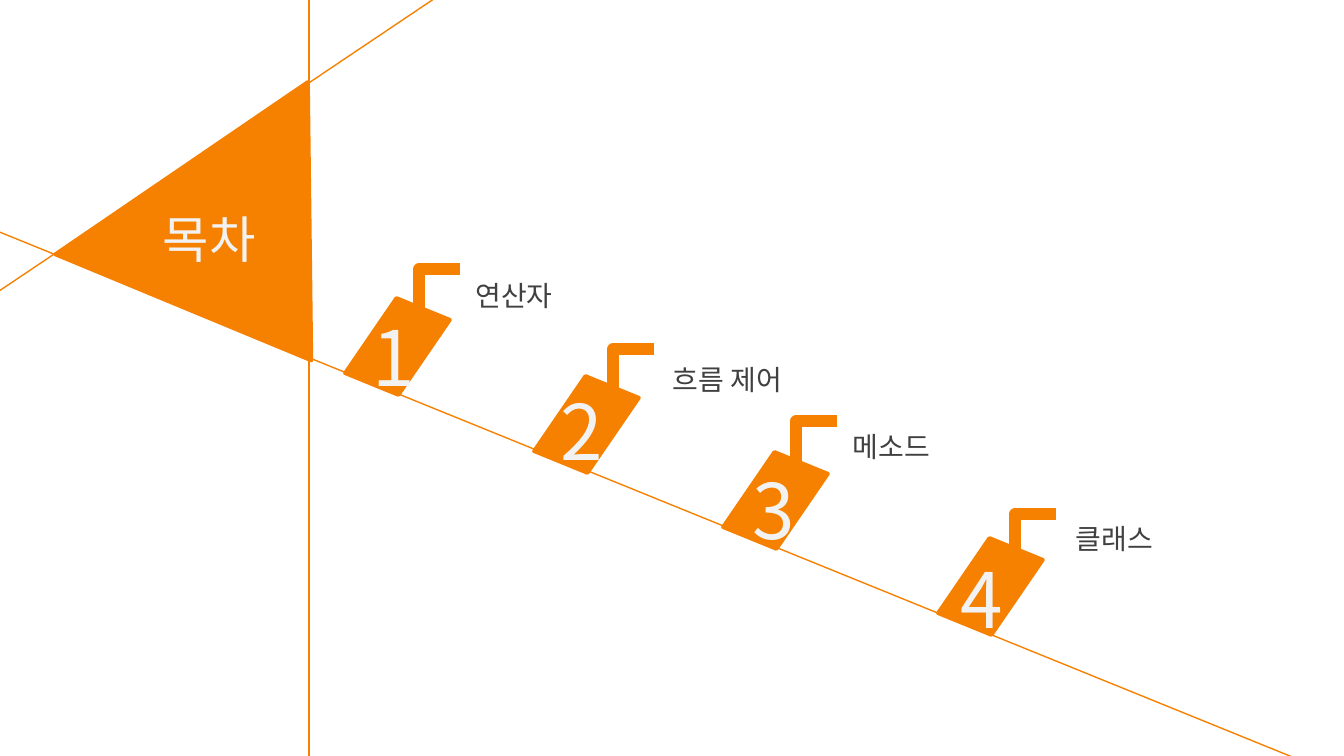
import dataclasses

import pptx
import pptx.dml.color
import pptx.enum.shapes
import pptx.enum.text
import pptx.oxml.ns
import pptx.util
from lxml import etree

EMU_PER_PX = 914400 / 134.4
SHAPE = pptx.enum.shapes.MSO_SHAPE
CONNECTOR = pptx.enum.shapes.MSO_CONNECTOR
ALIGN = pptx.enum.text.PP_ALIGN
qn = pptx.oxml.ns.qn


@dataclasses.dataclass(frozen=True)
class Theme:
    font: str = "Noto Sans CJK KR"
    accent: str = "F68100"
    light: str = "F2F2F2"
    dark: str = "404040"
    title_size: int = 27
    number_size: int = 41
    label_size: int = 15
    outline: float = 2
    guide: float = 0.75
    hook: float = 6


def px(n):
    return pptx.util.Emu(round(n * EMU_PER_PX))


def rgb(code):
    return pptx.dml.color.RGBColor.from_string(code)


def write(tf, text, *, size, color, font, align=None):
    p = tf.paragraphs[0]
    p.alignment = align
    r = p.add_run()
    r.text = text
    r.font.size = pptx.util.Pt(size)
    r.font.color.rgb = rgb(color)
    r.font.name = font
    etree.SubElement(r.font._element, qn("a:ea"), typeface=font)


class Canvas:
    """Draws on one slide in the theme's style."""

    def __init__(self, slide, theme):
        self.slide = slide
        self.theme = theme

    def shape(self, kind, x, y, w, h, rotation):
        sp = self.slide.shapes.add_shape(kind, px(x), px(y), px(w), px(h))
        sp.rotation = rotation
        sp.shadow.inherit = False
        sp.fill.solid()
        sp.fill.fore_color.rgb = rgb(self.theme.accent)
        sp.line.color.rgb = rgb(self.theme.accent)
        sp.line.width = pptx.util.Pt(self.theme.outline)
        return sp

    def text(self, text, x, y, w, h, **style):
        sp = self.slide.shapes.add_textbox(px(x), px(y), px(w), px(h))
        tf = sp.text_frame
        tf.word_wrap = True
        tf.auto_size = pptx.enum.text.MSO_AUTO_SIZE.SHAPE_TO_FIT_TEXT
        tf.margin_left = tf.margin_right = px(10)
        tf.margin_top = tf.margin_bottom = px(5)
        write(tf, text, font=self.theme.font, **style)

    def line(self, x1, y1, x2, y2, width, kind=CONNECTOR.STRAIGHT):
        sp = self.slide.shapes.add_connector(kind, px(x1), px(y1), px(x2), px(y2))
        sp.line.color.rgb = rgb(self.theme.accent)
        sp.line.width = pptx.util.Pt(width)
        etree.SubElement(sp._element.spPr, qn("a:effectLst"))
        return sp

    def hook(self, x, y, side):
        """Draw a one-bend connector going up, then right; (x, y) is its corner."""
        sp = self.line(x + side, y + side, x, y, self.theme.hook, CONNECTOR.ELBOW)
        spPr = sp._element.spPr
        spPr.find(qn("a:xfrm")).set("rot", str(90 * 60000))
        spPr.find(qn("a:prstGeom")).set("prst", "bentConnector2")


# label, tile corner, number corner, hook corner, label corner and width
ITEMS = [
    ("연산자", (359, 302), (363, 305), (419, 269), (363, 274, 302)),
    ("흐름 제어", (548, 380), (551, 379), (613, 349), (563, 358, 329)),
    ("메소드", (737, 456), (742, 458), (796, 421), (727, 425, 329)),
    ("클래스", (952, 542), (950, 547), (1015, 514), (950, 517, 329)),
]
GUIDES = [(1344, 778, -40, 216), (309, -34, 309, 778), (465, -22, -44, 320)]


def main():
    prs = pptx.Presentation()
    prs.slide_width, prs.slide_height = px(1344), px(756)
    theme = Theme()
    c = Canvas(prs.slides.add_slide(prs.slide_layouts[6]), theme)

    triangle = c.shape(SHAPE.ISOSCELES_TRIANGLE, 94, 148, 306, 232, 145.7)
    triangle.adjustments[0] = 0.504
    c.text("목차", 153, 203, 129, 71, size=theme.title_size, color=theme.light)
    for ends in GUIDES:
        c.line(*ends, theme.guide)

    for number, (label, tile, digit, corner, (x, y, w)) in enumerate(ITEMS, 1):
        c.shape(SHAPE.PARALLELOGRAM, *tile, 77, 89, 22.2)
        c.text(str(number), *digit, 79, 103, size=theme.number_size, color=theme.light)
        c.hook(*corner, 41)
        c.text(label, x, y, w, 44, size=theme.label_size, color=theme.dark,
               align=ALIGN.CENTER)

    prs.save("out.pptx")


if __name__ == "__main__":
    main()
